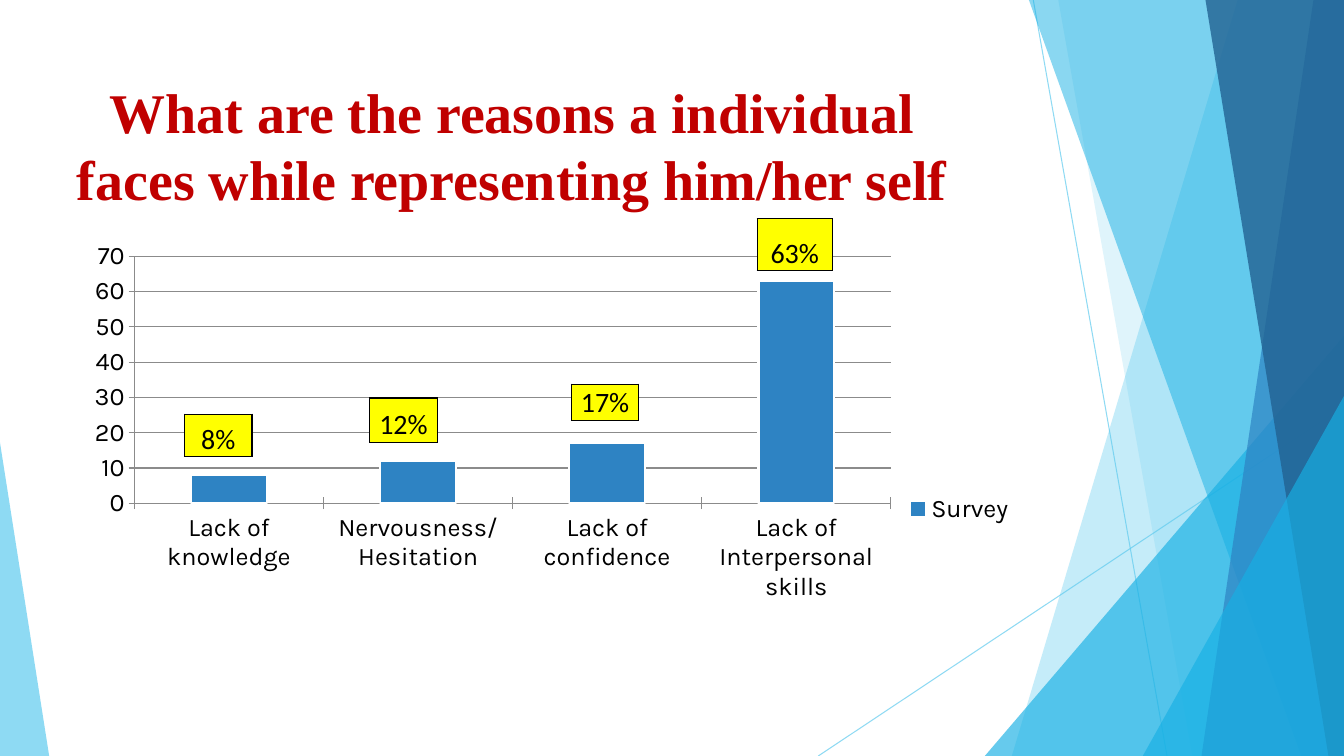
"""Build the survey slide: faceted backdrop, title, column chart and value tags."""
from dataclasses import dataclass

from lxml.etree import SubElement
from pptx import Presentation
from pptx.chart.data import CategoryChartData
from pptx.dml.color import RGBColor
from pptx.enum.chart import XL_CHART_TYPE as ChartType
from pptx.enum.chart import XL_LEGEND_POSITION as LegendPosition
from pptx.enum.chart import XL_TICK_MARK as TickMark
from pptx.enum.shapes import MSO_CONNECTOR as Connector
from pptx.enum.shapes import MSO_SHAPE as Shape
from pptx.enum.text import MSO_ANCHOR as Anchor
from pptx.enum.text import PP_ALIGN as Align
from pptx.oxml import parse_xml
from pptx.oxml.ns import nsdecls, qn
from pptx.util import Cm, Pt

WIDTH, HEIGHT = 33.87, 19.05
COLOURS = {
    "sky": "5FCBEF", "cyan": "17B0E4", "blue": "2E83C3", "navy": "226292",
    "red": "C00000", "yellow": "FFFF00", "black": "000000",
    "white": "FFFFFF", "grey": "8B8B8B",
}


@dataclass
class Ray:
    start: tuple[float, float]
    end: tuple[float, float]


@dataclass
class Band:
    top: float
    bottom: float
    colour: str
    opacity: int


@dataclass
class Wedge:
    left: float
    top: float
    width: float
    apex: float
    colour: str
    opacity: int


@dataclass
class Tag:
    text: str
    left: float
    top: float
    width: float
    height: float
    spacing: float = 1.0


RAYS = [Ray((26.04, 0), (29.41, HEIGHT)), Ray((WIDTH, 10.24), (20.62, HEIGHT))]
FACETS = [
    Band(31.19, 25.5, "sky", 36),
    Band(26.67, 30.05, "sky", 20),
    Wedge(24.82, 8.46, 9.05, 1, "cyan", 66),
    Band(25.93, 32.79, "cyan", 50),
    Band(33.1, 30.28, "blue", 70),
    Band(30.38, 33.48, "navy", 80),
    Wedge(28.8, 9.98, 5.07, 1, "cyan", 66),
    Wedge(0, 11.15, 1.24, 0, "sky", 70),
]
TAGS = [
    Tag("63%", 19.08, 5.51, 1.9, 1.3, 1.5),
    Tag("17%", 14.4, 9.68, 1.7, 0.91),
    Tag("12%", 9.32, 10.03, 1.7, 1.12),
    Tag("8%", 4.65, 10.44, 1.7, 1.07),
]
SURVEY = {
    "Lack of knowledge": 8,
    "Nervousness/Hesitation": 12,
    "Lack of confidence": 17,
    "Lack of Interpersonal skills": 63,
}


def rgb(name: str) -> RGBColor:
    return RGBColor.from_string(COLOURS[name])


def set_opacity(shape, percent: int) -> None:
    colour = next(shape.element.spPr.iter(qn("a:srgbClr")))
    SubElement(colour, qn("a:alpha"), val=str(percent * 1000))


def write(frame, text: str, *, size: float, font: str, colour: str,
          bold: bool = False, spacing: float = 1.0) -> None:
    para = frame.paragraphs[0]
    para.alignment, para.line_spacing = Align.CENTER, spacing
    span = para.add_run()
    span.text = text
    span.font.size, span.font.name, span.font.bold = Pt(size), font, bold
    span.font.color.rgb = rgb(colour)


def draw_ray(page, ray: Ray) -> None:
    line = page.shapes.add_connector(
        Connector.STRAIGHT, *map(Cm, ray.start + ray.end))
    line.line.color.rgb, line.line.width = rgb("sky"), Pt(0.75)
    set_opacity(line, 70)
    SubElement(line.element.spPr, qn("a:effectLst"))


def draw_facet(page, facet: Band | Wedge) -> None:
    if isinstance(facet, Band):
        outline = page.shapes.build_freeform(Cm(facet.top), 0)
        corners = [(WIDTH, 0), (WIDTH, HEIGHT), (facet.bottom, HEIGHT)]
        outline.add_line_segments([(Cm(x), Cm(y)) for x, y in corners])
        shape = outline.convert_to_shape()
    else:
        shape = page.shapes.add_shape(
            Shape.ISOSCELES_TRIANGLE, Cm(facet.left), Cm(facet.top),
            Cm(facet.width), Cm(HEIGHT - facet.top))
        shape.adjustments[0] = facet.apex
    shape.shadow.inherit = False
    shape.line.fill.background()
    shape.fill.solid()
    shape.fill.fore_color.rgb = rgb(facet.colour)
    set_opacity(shape, facet.opacity)


def draw_title(page) -> None:
    box = page.shapes.add_textbox(Cm(1.47), Cm(1.7), Cm(22.86), Cm(3.18))
    frame = box.text_frame
    frame.word_wrap, frame.vertical_anchor = True, Anchor.TOP
    frame.margin_top = Cm(0.25)
    write(frame,
          "What are the reasons a individual faces while representing him/her self",
          size=40, font="Times New Roman", colour="red", bold=True)


def draw_chart(page) -> None:
    data = CategoryChartData()
    data.categories = list(SURVEY)
    data.add_series("Survey", list(SURVEY.values()))
    chart = page.shapes.add_chart(
        ChartType.COLUMN_CLUSTERED, Cm(1.7), Cm(6.05), Cm(24.13), Cm(13.54),
        data).chart
    chart.has_title = False
    chart.font.size, chart.font.name = Pt(18), "Karla"
    chart.font.color.rgb = rgb("black")
    chart.has_legend = True
    chart.legend.position = LegendPosition.RIGHT
    chart.legend.include_in_layout = False

    values = chart.value_axis
    values.minimum_scale, values.maximum_scale, values.major_unit = 0, 70, 10
    values.major_gridlines.format.line.color.rgb = rgb("grey")
    for axis in (chart.category_axis, values):
        axis.major_tick_mark = TickMark.CROSS
        axis.format.line.color.rgb = rgb("grey")

    plot = chart.plots[0]
    plot.gap_width, plot.vary_by_categories = 150, False
    bars = plot.series[0].format
    bars.fill.solid()
    bars.fill.fore_color.rgb = rgb("blue")
    bars.line.color.rgb, bars.line.width = rgb("white"), Pt(1.5)

    area = chart.element.chart.plotArea
    for old in area.findall(qn("c:layout")):
        area.remove(old)
    places = {"x": 0.07, "y": 0.03, "w": 0.79, "h": 0.46}
    modes = "".join(f'<c:{key}Mode val="edge"/>' for key in "xy")
    sizes = "".join(f'<c:{key} val="{place}"/>' for key, place in places.items())
    area.insert(0, parse_xml(
        f'<c:layout {nsdecls("c")}><c:manualLayout><c:layoutTarget val="inner"/>'
        f"{modes}{sizes}</c:manualLayout></c:layout>"))


def draw_tag(page, tag: Tag) -> None:
    table = page.shapes.add_table(
        1, 1, Cm(tag.left), Cm(tag.top), Cm(tag.width), Cm(tag.height)).table
    table.first_row = table.horz_banding = False
    cell = table.cell(0, 0)
    cell.margin_left = cell.margin_right = cell.margin_top = Cm(0.03)
    cell.margin_bottom = 0
    cell.vertical_anchor = Anchor.BOTTOM
    for side in "LRTB":
        cell._tc.get_or_add_tcPr().append(parse_xml(
            f'<a:ln{side} {nsdecls("a")} w="{Pt(1)}"><a:solidFill>'
            f'<a:srgbClr val="{COLOURS["black"]}"/></a:solidFill></a:ln{side}>'))
    cell.fill.solid()
    cell.fill.fore_color.rgb = rgb("yellow")
    write(cell.text_frame, tag.text, size=20, font="Calibri", colour="black",
          spacing=tag.spacing)


def main() -> None:
    deck = Presentation()
    deck.slide_width, deck.slide_height = Cm(WIDTH), Cm(HEIGHT)
    page = deck.slides.add_slide(deck.slide_layouts[6])
    for ray in RAYS:
        draw_ray(page, ray)
    for facet in FACETS:
        draw_facet(page, facet)
    draw_title(page)
    draw_chart(page)
    for tag in TAGS:
        draw_tag(page, tag)
    deck.save("out.pptx")


if __name__ == "__main__":
    main()
